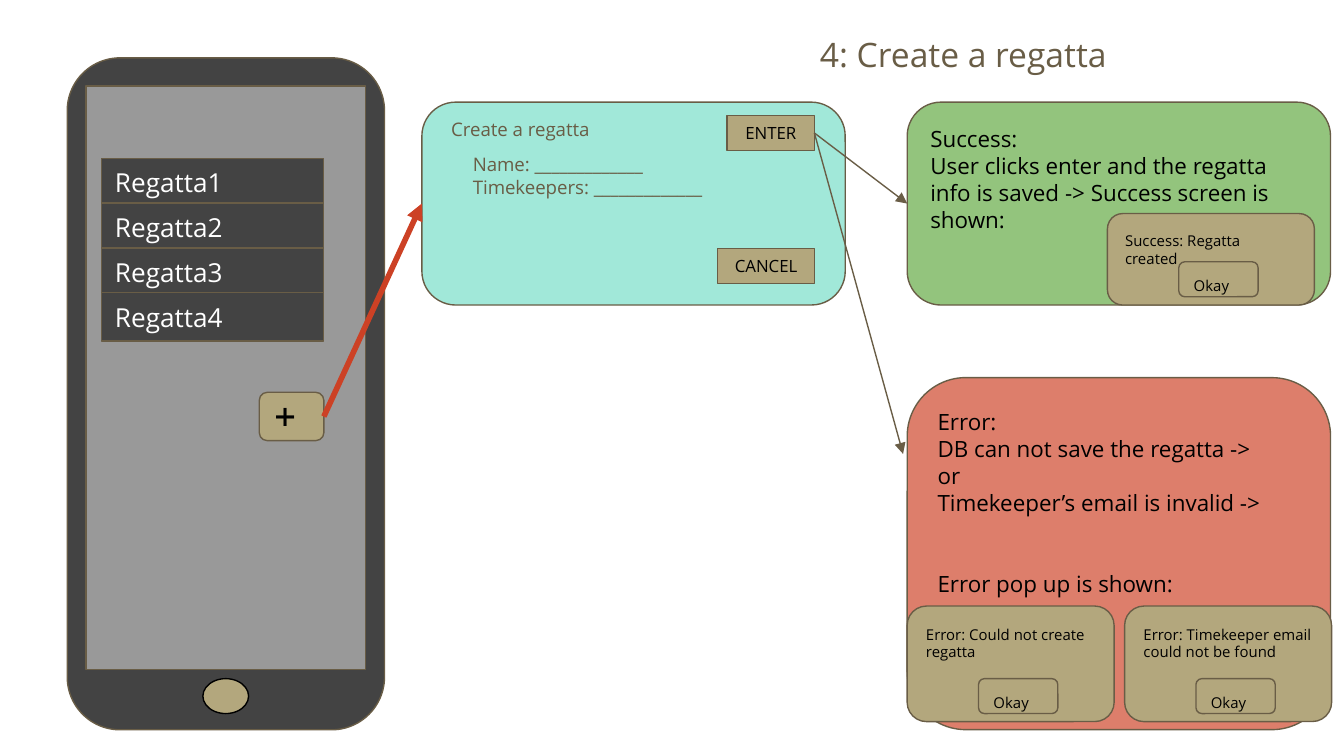
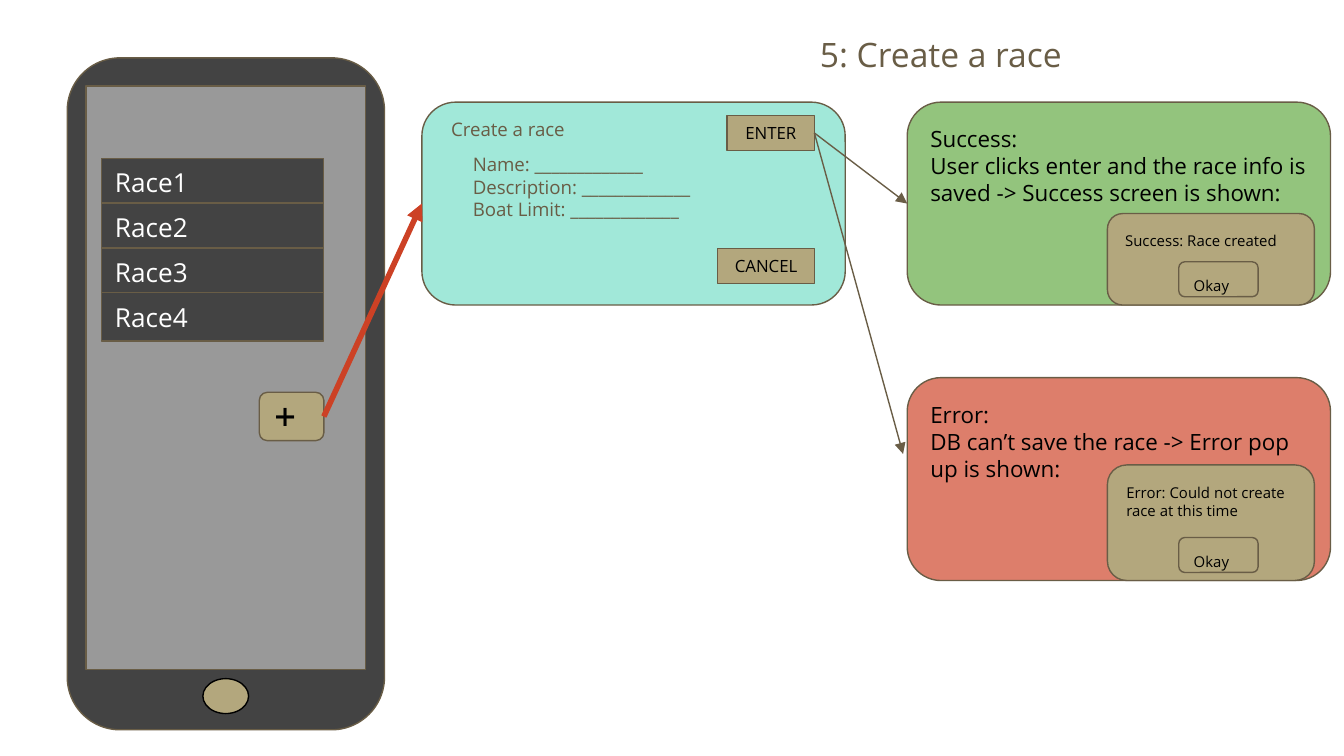
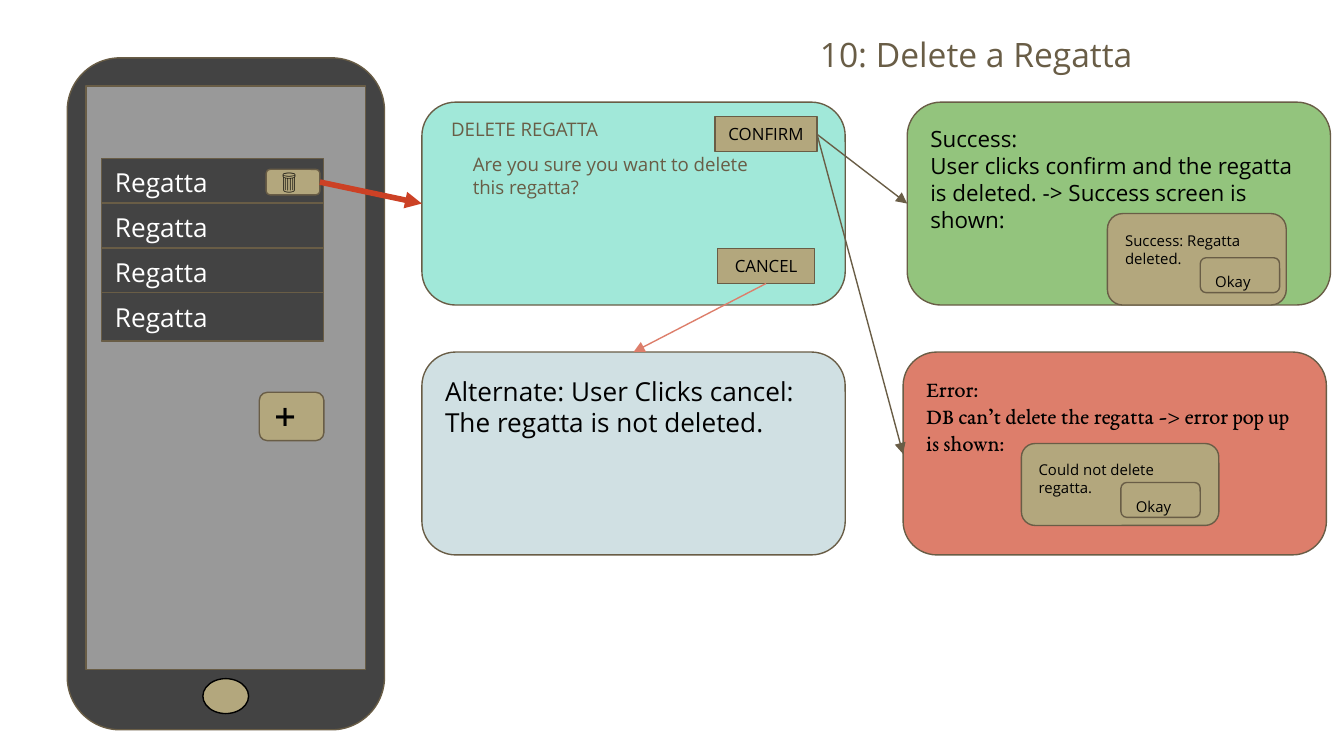
from typing import NamedTuple

from lxml import etree
from pptx import Presentation
from pptx.dml.color import RGBColor
from pptx.enum import shapes, text
from pptx.oxml import ns
from pptx.util import Pt

COLORS = {
    "brown": "695D46", "tan": "B3A77D", "charcoal": "434343", "grey": "999999",
    "aqua": "A1E8D9", "green": "93C47D", "coral": "DD7E6B", "mist": "D0E0E3",
    "red": "CC4125", "black": "000000", "white": "FFFFFF",
}
SANS = "Open Sans"
SERIF = "EB Garamond"
KIND = shapes.MSO_SHAPE
MIDDLE = text.MSO_ANCHOR.MIDDLE
TOP = text.MSO_ANCHOR.TOP
LEFT = text.PP_ALIGN.LEFT
CENTER = text.PP_ALIGN.CENTER


class Box(NamedTuple):
    left: float
    top: float
    width: float
    height: float

    def inside(self, left, top, width, height):
        return Box(self.left + left, self.top + top, width, height)

    def lengths(self):
        return [Pt(value) for value in self]

    def left_middle(self):
        return self.left, self.top + self.height / 2

    def right_middle(self):
        return self.left + self.width, self.top + self.height / 2

    def top_center(self):
        return self.left + self.width / 2, self.top

    def bottom_center(self):
        return self.left + self.width / 2, self.top + self.height


PHONE = Box(36, 31, 170, 360)
DIALOG = Box(226, 54.7, 226.8, 108.7)
SUCCESS = Box(486, 54.7, 226.8, 108.7)
ERROR = Box(486, 202.3, 226.8, 108.7)
ERROR_TARGET = (483.8, 243.2)
ENTER = (163.5, 7.2, 46.8, 18.7)
CONFIRM = (157, 7.9, 54.7, 18.7)
SUCCESS_POPUP = (107.3, 59.7, 110.9, 49)
ERROR_POPUP = (107.3, 46.8, 110.9, 61.9)


def write(shape, lines, size, color="black", name=SANS, anchor=TOP, align=LEFT):
    frame = shape.text_frame
    settings = {
        "word_wrap": True, "auto_size": text.MSO_AUTO_SIZE.NONE,
        "vertical_anchor": anchor, "margin_left": Pt(7.2), "margin_right": Pt(7.2),
        "margin_top": Pt(7.2), "margin_bottom": Pt(7.2),
    }
    for key, value in settings.items():
        setattr(frame, key, value)
    for index, line in enumerate(lines):
        para = frame.add_paragraph() if index else frame.paragraphs[0]
        para.alignment = align
        span = para.add_run()
        span.text = line
        for key, value in {"size": Pt(size), "name": name}.items():
            setattr(span.font, key, value)
        span.font.color.rgb = RGBColor.from_string(COLORS[color])
    return frame


def add_block(page, kind, box, fill, line="brown"):
    shape = page.shapes.add_shape(kind, *box.lengths())
    shape.shadow.inherit = False
    shape.fill.solid()
    shape.fill.fore_color.rgb = RGBColor.from_string(COLORS[fill])
    shape.line.color.rgb = RGBColor.from_string(COLORS[line])
    shape.line.width = Pt(0.75)
    return shape


def add_label(page, box, lines):
    write(page.shapes.add_textbox(*box.lengths()), lines, 10, "brown")


def add_arrow(page, start, end, color="brown", width=0.75):
    ends = [Pt(value) for value in (*start, *end)]
    arrow = page.shapes.add_connector(shapes.MSO_CONNECTOR.STRAIGHT, *ends)
    arrow.line.color.rgb = RGBColor.from_string(COLORS[color])
    arrow.line.width = Pt(width)
    etree.SubElement(arrow.line._get_or_add_ln(), ns.qn("a:tailEnd"), type="triangle")
    etree.SubElement(arrow._element.spPr, ns.qn("a:effectLst"))


def add_page(deck, title):
    page = deck.slides.add_slide(deck.slide_layouts[5])
    heading = page.shapes.title
    places = zip(("left", "top", "width", "height"), Box(432, 10.8, 224.6, 39.6).lengths())
    for key, value in places:
        setattr(heading, key, value)
    write(heading, [title], 18, "brown")
    return page


def draw_icon_button(page, box, icon):
    write(add_block(page, KIND.ROUNDED_RECTANGLE, box, "tan"), [icon], 14, anchor=MIDDLE)
    return box.right_middle()


def draw_phone(page, box, rows):
    add_block(page, KIND.FLOWCHART_ALTERNATE_PROCESS, box, "charcoal")
    add_block(page, KIND.RECTANGLE, box.inside(10.1, 15.1, 149.8, 312.5), "grey")
    add_block(page, KIND.OVAL, box.inside(72.7, 332.6, 24.5, 18.7), "tan", "black")
    for index, row in enumerate(rows):
        place = box.inside(18.5, 53.8 + 24 * index, 118.8, 25.9)
        bar = add_block(page, KIND.RECTANGLE, place, "charcoal")
        write(bar, [row], 14, "white", anchor=MIDDLE)
    return draw_icon_button(page, box.inside(102.9, 179.2, 34.6, 25.9), "➕")


def draw_dialog(page, box, title, lines, action, action_place):
    add_block(page, KIND.ROUNDED_RECTANGLE, box, "aqua")
    add_label(page, box.inside(8.6, 1.4, 118.8, 18.7), [title])
    add_label(page, box.inside(20.2, 20.2, 167, 51.1), lines)
    accept = box.inside(*action_place)
    cancel = box.inside(158.5, 78.5, 51.8, 18.7)
    for place, caption in ((accept, action), (cancel, "CANCEL")):
        button = add_block(page, KIND.RECTANGLE, place, "tan")
        write(button, [caption], 9, anchor=MIDDLE, align=CENTER)
    return accept.right_middle(), cancel.bottom_center()


def draw_panel(page, box, fill, lines, size=12, name=SANS):
    panel = add_block(page, KIND.ROUNDED_RECTANGLE, box, fill)
    return write(panel, lines, size, name=name)


def draw_popup(page, box, message, okay):
    write(add_block(page, KIND.ROUNDED_RECTANGLE, box, "tan"), [message], 8)
    place = box.inside(*okay, 42.5, 18.7)
    write(add_block(page, KIND.ROUNDED_RECTANGLE, place, "tan"), ["Okay"], 8)


def draw_outcome_arrows(page, start):
    for end in (SUCCESS.left_middle(), ERROR_TARGET):
        add_arrow(page, start, end)


def draw_create(deck, title, noun, fields, success, error_box, error_lines):
    page = add_page(deck, title)
    plus = draw_phone(page, PHONE, [f"{noun}{number}" for number in range(1, 5)])
    blanks = [f"{field}: {'_' * 13}" for field in fields]
    enter, _ = draw_dialog(page, DIALOG, f"Create a {noun.lower()}", blanks, "ENTER", ENTER)
    add_arrow(page, plus, DIALOG.left_middle(), "red", 3)
    draw_panel(page, SUCCESS, "green", ["Success:", success])
    draw_popup(page, SUCCESS.inside(*SUCCESS_POPUP), f"Success: {noun} created", (38.2, 25.9))
    frame = draw_panel(page, error_box, "coral", ["Error:", *error_lines])
    draw_outcome_arrows(page, enter)
    return page, frame


def draw_create_regatta(deck):
    box = ERROR._replace(height=188.6)
    page, frame = draw_create(
        deck, "4: Create a regatta", "Regatta", ["Name", "Timekeepers"],
        "User clicks enter and the regatta info is saved -> Success screen is shown:",
        box, ["DB can not save the regatta ->", "or",
              "Timekeeper’s email is invalid ->", "Error pop up is shown:"])
    frame.paragraphs[-1].space_before = Pt(28.9)
    messages = ("Error: Could not create regatta",
                "Error: Timekeeper email could not be found")
    for index, message in enumerate(messages):
        place = box.inside(116.5 * index, 122.4, 110.9, 61.9)
        draw_popup(page, place, message, (38.2, 38.9))


def draw_create_race(deck):
    page, _ = draw_create(
        deck, "5: Create a race", "Race", ["Name", "Description", "Boat Limit"],
        "User clicks enter and the race info is saved -> Success screen is shown:",
        ERROR, ["DB can’t save the race -> Error pop up is shown:"])
    draw_popup(page, ERROR.inside(*ERROR_POPUP),
               "Error: Could not create race at this time", (38.2, 38.9))


def draw_delete_regatta(deck):
    page = add_page(deck, "10: Delete a Regatta")
    draw_phone(page, PHONE, ["Regatta"] * 4)
    trash = draw_icon_button(page, PHONE.inside(106.6, 59.7, 28.8, 13.7), "🗑️")
    confirm, cancel = draw_dialog(
        page, DIALOG, "DELETE REGATTA",
        ["Are you sure you want to delete this regatta?"], "CONFIRM", CONFIRM)
    add_arrow(page, trash, DIALOG.left_middle(), "red", 3)
    alternate = DIALOG._replace(top=188.6)
    draw_panel(page, alternate, "mist",
               ["Alternate: User Clicks cancel: The regatta is not deleted."], 14)
    error = ERROR._replace(left=483.8, top=188.6)
    draw_panel(page, error, "coral",
               ["Error:", "DB can’t delete the regatta -> error pop up is shown:"],
               name=SERIF)
    draw_panel(page, SUCCESS, "green", [
        "Success:",
        "User clicks confirm and the regatta is deleted. -> Success screen is shown:"])
    add_arrow(page, cancel, alternate.top_center(), "coral")
    draw_popup(page, SUCCESS.inside(107.3, 59.7, 95.8, 49),
               "Success: Regatta deleted.", (49.7, 23.7))
    draw_outcome_arrows(page, confirm)
    draw_popup(page, error.inside(63.4, 49, 105.8, 43.9),
               "Could not delete regatta.", (53.3, 20.9))


def main():
    deck = Presentation()
    deck.slide_width, deck.slide_height = Pt(720), Pt(405)
    for draw in (draw_create_regatta, draw_create_race, draw_delete_regatta):
        draw(deck)
    deck.save("out.pptx")


if __name__ == "__main__":
    main()
